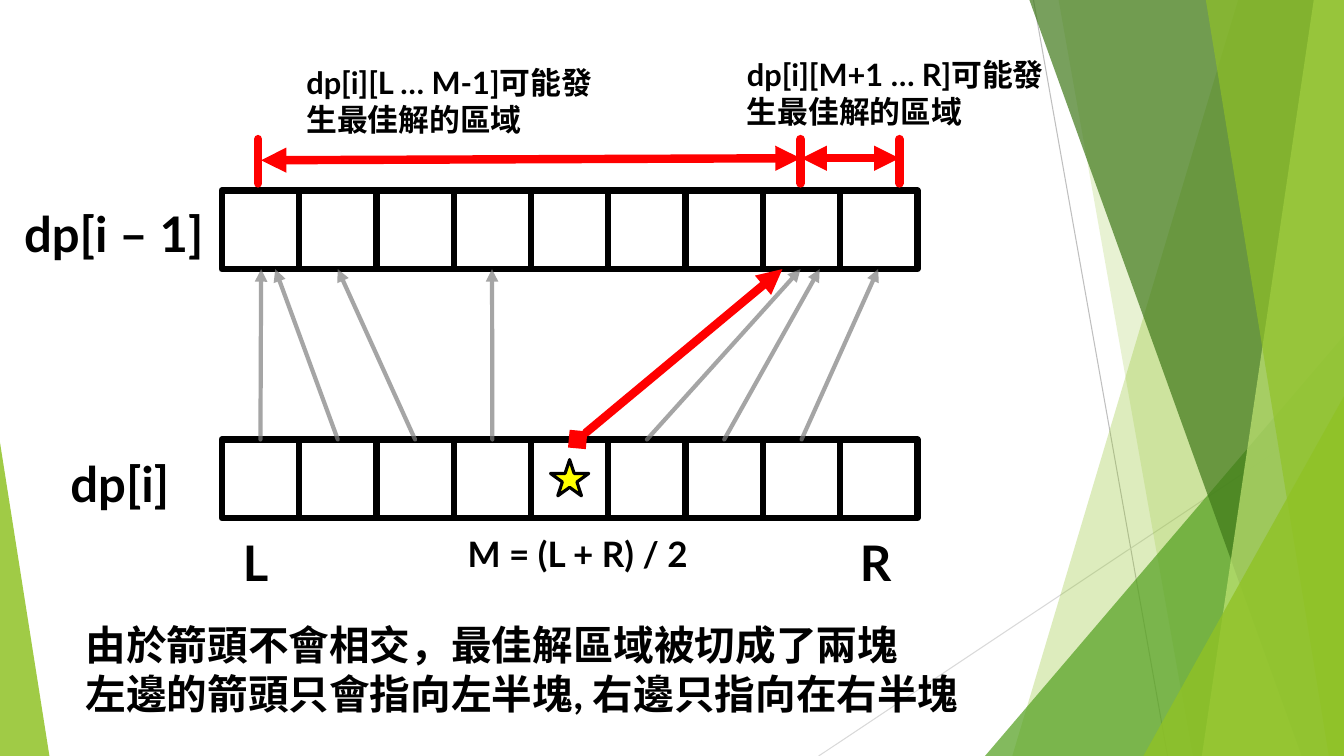
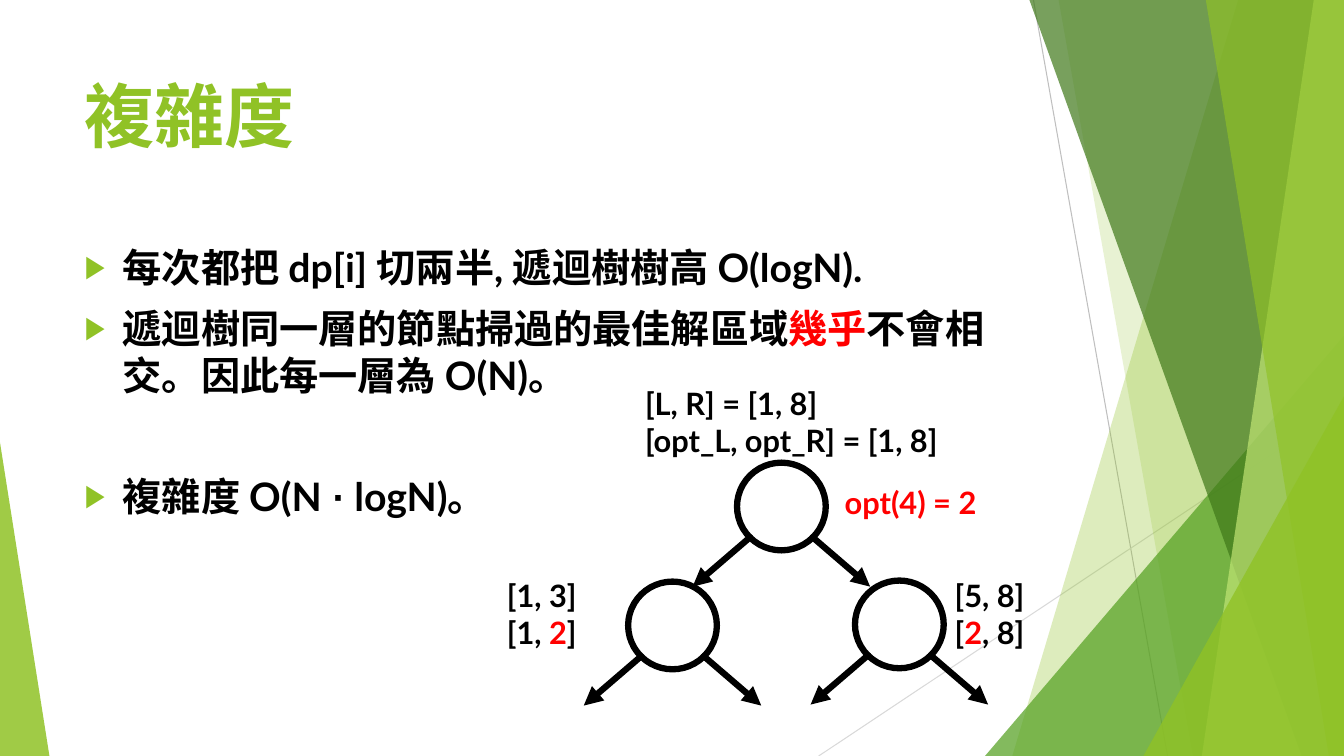
from pptx import Presentation
from pptx.dml.color import RGBColor
from pptx.enum.shapes import MSO_CONNECTOR, MSO_SHAPE
from pptx.oxml.ns import qn
from pptx.util import Inches, Pt
from lxml.etree import SubElement

COLORS = {
    "lime": "90C226", "green": "54A021", "forest": "3F7819", "pale": "C0E474",
    "silver": "BFBFBF", "mist": "D9D9D9", "gray": "7F7F7F",
    "black": "000000", "red": "FF0000", "yellow": "FFFF00",
}
WIDTH, HEIGHT = 13.33, 7.5


def rgb(name):
    return RGBColor.from_string(COLORS[name])


class Deck:
    """Shared style and the slide being drawn."""

    font = "Lato"

    def __init__(self):
        self.deck = Presentation()
        self.deck.slide_width = Inches(WIDTH)
        self.deck.slide_height = Inches(HEIGHT)
        self.page = None

    def new_page(self):
        self.page = self.deck.slides.add_slide(self.deck.slide_layouts[6])
        self.background()

    def background(self):
        self.line((10.25, 0), (11.58, HEIGHT), "silver", 0.75)
        self.line((WIDTH, 4.03), (8.12, HEIGHT), "mist", 0.75)
        self.band(12.28, 10.04, "lime", 30)
        self.band(10.5, 11.83, "lime", 20)
        self.corner(9.77, 3.33, 3.56, 1, "green", 72)
        self.band(10.21, 12.91, "forest", 70)
        self.band(13.03, 11.92, "pale", 70)
        self.band(11.96, 13.18, "lime", 65)
        self.corner(11.34, 3.93, 1.99, 1, "lime", 80)
        self.corner(0, 4.39, 0.49, 0, "lime", 85)

    def band(self, top_x, bottom_x, color, opacity):
        """Slanted band reaching the right edge of the slide."""
        builder = self.page.shapes.build_freeform(Inches(top_x), 0)
        corners = [(WIDTH, 0), (WIDTH, HEIGHT), (bottom_x, HEIGHT)]
        builder.add_line_segments([(Inches(x), Inches(y)) for x, y in corners])
        self.paint(builder.convert_to_shape(), color, opacity=opacity)

    def corner(self, left, top, width, tip, color, opacity):
        """Triangle standing on the bottom edge of the slide."""
        box = (left, top, width, HEIGHT - top)
        triangle = self.shape(MSO_SHAPE.ISOSCELES_TRIANGLE, box, color, opacity=opacity)
        triangle.adjustments[0] = tip

    def shape(self, kind, box, fill=None, line=None, weight=4.5, opacity=100):
        shape = self.page.shapes.add_shape(kind, *map(Inches, box))
        self.paint(shape, fill, line, weight, opacity)
        return shape

    def paint(self, shape, fill=None, line=None, weight=4.5, opacity=100):
        shape.shadow.inherit = False
        if fill:
            shape.fill.solid()
            shape.fill.fore_color.rgb = rgb(fill)
            self.fade(shape, opacity)
        else:
            shape.fill.background()
        if line:
            shape.line.color.rgb = rgb(line)
            shape.line.width = Pt(weight)
        else:
            shape.line.fill.background()

    def fade(self, shape, opacity):
        if opacity < 100:
            for color in shape.element.iter(qn("a:srgbClr")):
                SubElement(color, qn("a:alpha"), val=str(opacity * 1000))

    def line(self, start, end, color, weight, head=None, tail=None, opacity=100):
        points = map(Inches, (*start, *end))
        line = self.page.shapes.add_connector(MSO_CONNECTOR.STRAIGHT, *points)
        line.line.color.rgb = rgb(color)
        line.line.width = Pt(weight)
        self.fade(line, opacity)
        properties = line.element.spPr
        outline = properties.find(qn("a:ln"))
        outline.set("cap", "rnd")
        for tag, kind in (("a:headEnd", head), ("a:tailEnd", tail)):
            if kind:
                SubElement(outline, qn(tag), type=kind)
        SubElement(properties, qn("a:effectLst"))

    def text(self, box, paragraphs, size, color="black"):
        """Each paragraph is a string or a list of (text, color, font) spans."""
        frame = self.page.shapes.add_textbox(*map(Inches, box)).text_frame
        frame.word_wrap = True
        for index, content in enumerate(paragraphs):
            para = frame.add_paragraph() if index else frame.paragraphs[0]
            spans = [(content, color, self.font)] if isinstance(content, str) else content
            for words, span_color, font in spans:
                span = para.add_run()
                span.text = words
                span.font.name = font
                span.font.size = Pt(size)
                span.font.bold = True
                span.font.color.rgb = rgb(span_color)
        return frame.paragraphs

    def bullets(self, box, paragraphs, size, gaps):
        for para, gap in zip(self.text(box, paragraphs, size), gaps):
            para.space_before = Pt(gap)
            properties = para._p.get_or_add_pPr()
            properties.set("marL", str(Inches(0.38)))
            properties.set("indent", str(-Inches(0.38)))
            color = SubElement(properties, qn("a:buClr"))
            SubElement(color, qn("a:srgbClr"), val=COLORS["lime"])
            SubElement(properties, qn("a:buSzPct"), val="80000")
            SubElement(properties, qn("a:buFont"), typeface="Arial")
            SubElement(properties, qn("a:buChar"), char="▶")

    def node(self, left, top):
        """Tree node with an arrow to each child."""
        self.shape(MSO_SHAPE.OVAL, (left, top, 0.88, 0.87), line="black")
        center = left + 0.44
        for side in (-1, 1):
            start = (center + side * 0.31, top + 0.74)
            end = (center + side * 0.88, top + 1.23)
            self.line(start, end, "black", 4.5, tail="triangle")


def draw_split(deck):
    deck.new_page()
    deck.text((0.14, 1.97, 2.56, 0.69), ["dp[i – 1]"], 35)
    deck.text((0.6, 4.45, 2.56, 0.69), ["dp[i]"], 35)

    # Two rows of cells
    count, first, upper, lower, height = 9, 2.2, 1.89, 4.36, 0.78
    pitch = 6.9 / count
    for top in (upper, lower):
        for index in range(count):
            box = (first + index * pitch, top, pitch, height)
            deck.shape(MSO_SHAPE.RECTANGLE, box, line="black")

    # Arrows from the lower row to the best positions above
    bottom = upper + height
    deck.line((5.73, lower), (7.76, bottom), "red", 6, "diamond", "triangle")
    targets = {0: 2.59, 1: 2.73, 2: 3.35, 3: 4.88, 5: 7.94, 6: 8.13, 7: 8.71}
    for index, target in targets.items():
        start = (first + (index + 0.5) * pitch, lower)
        deck.line(start, (target, bottom), "gray", 3, tail="triangle", opacity=70)
    deck.shape(MSO_SHAPE.STAR_5_POINT, (5.46, 4.56, 0.38, 0.36), "yellow", "black", 2.25)

    # Ranges above the upper row
    deck.line((2.59, 1.59), (7.94, 1.57), "red", 6, "triangle", "triangle")
    deck.line((7.95, 1.57), (8.92, 1.57), "red", 6, "triangle", "triangle")
    for x in (2.56, 7.94, 8.92):
        deck.line((x, 1.38), (x, 1.82), "red", 6)
    deck.text((2.94, 0.58, 3.34, 0.84), ["dp[i][L … M-1]可能發", "生最佳解的區域"], 22)
    deck.text((7.31, 0.5, 3.56, 0.84), ["dp[i][M+1 … R]可能發", "生最佳解的區域"], 22)

    # Index labels and conclusion
    deck.text((2.31, 5.23, 1.43, 0.69), ["L"], 35)
    deck.text((4.54, 5.23, 3.08, 0.52), ["M = (L + R) / 2"], 25)
    deck.text((8.43, 5.23, 1.43, 0.69), ["R"], 35)
    deck.text((0.75, 6.1, 9.61, 1.08), [
        "由於箭頭不會相交，最佳解區域被切成了兩塊",
        "左邊的箭頭只會指向左半塊, 右邊只指向在右半塊",
    ], 29)


def draw_complexity(deck):
    deck.new_page()
    font = deck.font
    deck.text((0.74, 0.67, 9.4, 1.44), ["複雜度"], 50, "lime")
    deck.bullets((0.74, 2.36, 9.4, 4.24), [
        "每次都把 dp[i] 切兩半, 遞迴樹樹高 O(logN).",
        [("遞迴樹同一層的節點掃過的最佳解區域", "black", font),
         ("幾乎", "red", font),
         ("不會相交。因此每一層為 O(N)。", "black", font)],
        [("複雜度 O(N", "black", font),
         (" ∙ ", "black", "Arial"),
         ("logN)。", "black", font)],
    ], 28, gaps=(10, 10, 53))

    # Recursion tree
    for left, top in ((7.31, 4.59), (6.23, 5.77), (8.48, 5.76)):
        deck.node(left, top)
    deck.text((6.3, 3.77, 3.52, 0.84), ["[L, R] = [1, 8]", "[opt_L, opt_R] = [1, 8]"], 22)
    deck.text((8.28, 4.75, 1.64, 0.47), ["opt(4) = 2"], 22, "red")
    for left, bounds, before, after in ((4.93, "[1, 3]", "[1, ", "]"),
                                        (9.37, "[5, 8]", "[", ", 8]")):
        options = [(before, "black", font), ("2", "red", font), (after, "black", font)]
        deck.text((left, 5.67, 1.02, 0.84), [bounds, options], 22)


def main():
    deck = Deck()
    draw_split(deck)
    draw_complexity(deck)
    deck.deck.save("out.pptx")


if __name__ == "__main__":
    main()
